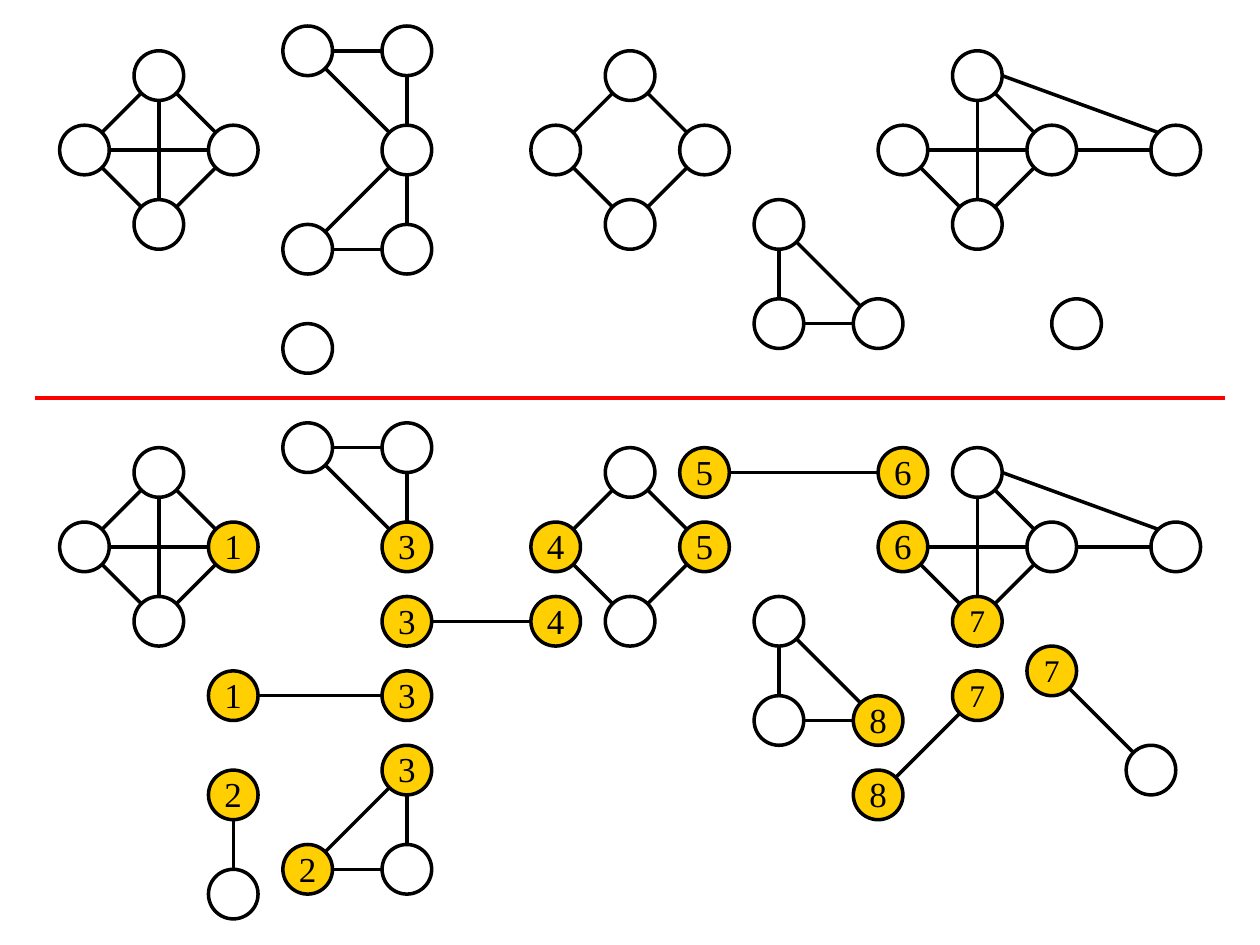
from itertools import product
from math import cos, dist, pi, sin

from lxml.etree import SubElement
from pptx import Presentation
from pptx.dml.color import RGBColor
from pptx.enum.shapes import MSO_CONNECTOR as Link, MSO_SHAPE as Kind
from pptx.enum.text import MSO_ANCHOR as Anchor, PP_ALIGN as Align
from pptx.oxml.ns import qn
from pptx.util import Inches, Pt

BLACK = RGBColor(0, 0, 0)
WHITE = RGBColor(255, 255, 255)
GOLD = RGBColor(255, 207, 1)
RED = RGBColor(255, 0, 0)

CELL = Inches(0.5 / 2.54)
LEFT, TOP = Inches(0.08), Inches(0.01)
SITES = [(cos(k * pi / 4), sin(k * pi / 4)) for k in range(8)]

DIAMOND = {"W": (0, 3), "N": (3, 0), "E": (6, 3), "S": (3, 6)}
KITE = {**DIAMOND, "F": (11, 3)}
UPPER = {"A": (0, 0), "B": (4, 0), "C": (4, 4)}
LOWER = {"C": (4, 0), "D": (4, 4), "E": (0, 4)}
BOW = {**UPPER, "D": (4, 8), "E": (0, 8)}
CORNER = {"A": (0, 0), "B": (0, 4), "C": (4, 4)}
RING = "WN NE WS SE"
CROSS = RING + " WE NS"
WEB = "NE WS SE WE NS NF EF"
THREE = "AB BC CA"
BASE = "CD DE EC"


def write(shape, text, size=20, color=BLACK, font="Times New Roman"):
    """Put centred text in a shape."""
    frame = shape.text_frame
    frame.word_wrap = False
    frame.vertical_anchor = Anchor.MIDDLE
    frame.margin_left = frame.margin_right = Inches(0.1)
    frame.margin_top, frame.margin_bottom = Inches(0.04), Inches(0.06)
    para = frame.paragraphs[0]
    para.alignment = Align.CENTER
    run = para.add_run()
    run.text = text
    run.font.size = Pt(size)
    run.font.name = font
    run.font.color.rgb = color


def line(slide, start, end, color=BLACK):
    """Draw a straight line between two points."""
    ends = [round(value) for value in (*start, *end)]
    link = slide.shapes.add_connector(Link.STRAIGHT, *ends)
    link.line.color.rgb = color
    link.line.width = Pt(2)
    SubElement(link._element.spPr, qn("a:effectLst"))


def edge(slide, one, two):
    """Join two nodes at their closest pair of rim points."""
    rims = [[(x + CELL * dx, y + CELL * dy) for dx, dy in SITES]
            for x, y in (one, two)]
    line(slide, *min(product(*rims), key=lambda pair: round(dist(*pair))))


def node(slide, spot, label=""):
    """Draw a round node about its centre, gold when it has a label."""
    x, y = spot
    disc = slide.shapes.add_shape(
        Kind.OVAL, x - CELL, y - CELL, 2 * CELL, 2 * CELL)
    disc.shadow.inherit = False
    disc.fill.solid()
    disc.fill.fore_color.rgb = GOLD if label else WHITE
    disc.line.color.rgb = BLACK
    disc.line.width = Pt(2)
    if label:
        write(disc, label, size=18 if label == "7" else 20)


def graph(slide, box, nodes, edges="", labels=None):
    """Draw a graph whose corner is at the grid cell given by box."""
    col, row = box
    spots = {name: (LEFT + CELL * (col + x), TOP + CELL * (row + y))
             for name, (x, y) in nodes.items()}
    for one, two in edges.split():
        edge(slide, spots[one], spots[two])
    for name, spot in spots.items():
        node(slide, spot, (labels or {}).get(name, ""))


def bridge(slide, box, span, first, last=""):
    """Draw two nodes joined by one edge."""
    graph(slide, box, {"A": (0, 0), "B": span}, "AB",
          {"A": first, "B": last})


def whole(slide, row):
    """Draw the graphs before they are split."""
    graph(slide, (3, row + 3), DIAMOND, CROSS)
    graph(slide, (12, row + 2), BOW, f"{THREE} {BASE}")
    graph(slide, (22, row + 3), DIAMOND, RING)
    graph(slide, (36, row + 3), KITE, WEB)
    graph(slide, (31, row + 9), CORNER, THREE)
    for col, drop in ((12, 14), (43, 13)):
        graph(slide, (col, row + drop), {"A": (0, 0)})


def split(slide, row):
    """Draw the graphs split into blocks at numbered nodes."""
    graph(slide, (3, row + 3), DIAMOND, CROSS, {"E": "1"})
    graph(slide, (12, row + 2), UPPER, THREE, {"C": "3"})
    graph(slide, (12, row + 15), LOWER, BASE, {"C": "3", "E": "2"})
    graph(slide, (22, row + 3), DIAMOND, RING, {"W": "4", "E": "5"})
    graph(slide, (36, row + 3), KITE, WEB, {"W": "6", "S": "7"})
    graph(slide, (31, row + 9), CORNER, THREE, {"C": "8"})
    bridge(slide, (9, row + 12), (7, 0), "1", "3")
    bridge(slide, (16, row + 9), (6, 0), "3", "4")
    bridge(slide, (28, row + 3), (8, 0), "5", "6")
    bridge(slide, (35, row + 16), (4, -4), "8", "7")
    bridge(slide, (42, row + 11), (4, 4), "7")
    bridge(slide, (9, row + 16), (0, 4), "2")


def main():
    """Build and save the slide."""
    deck = Presentation()
    deck.slide_width, deck.slide_height = Inches(10), Inches(7.5)
    slide = deck.slides.add_slide(deck.slide_layouts[6])
    whole(slide, 0)
    split(slide, 16)
    line(slide, (Inches(0.28), Inches(3.16)),
         (Inches(9.72), Inches(3.16)), color=RED)
    deck.save("out.pptx")


if __name__ == "__main__":
    main()
